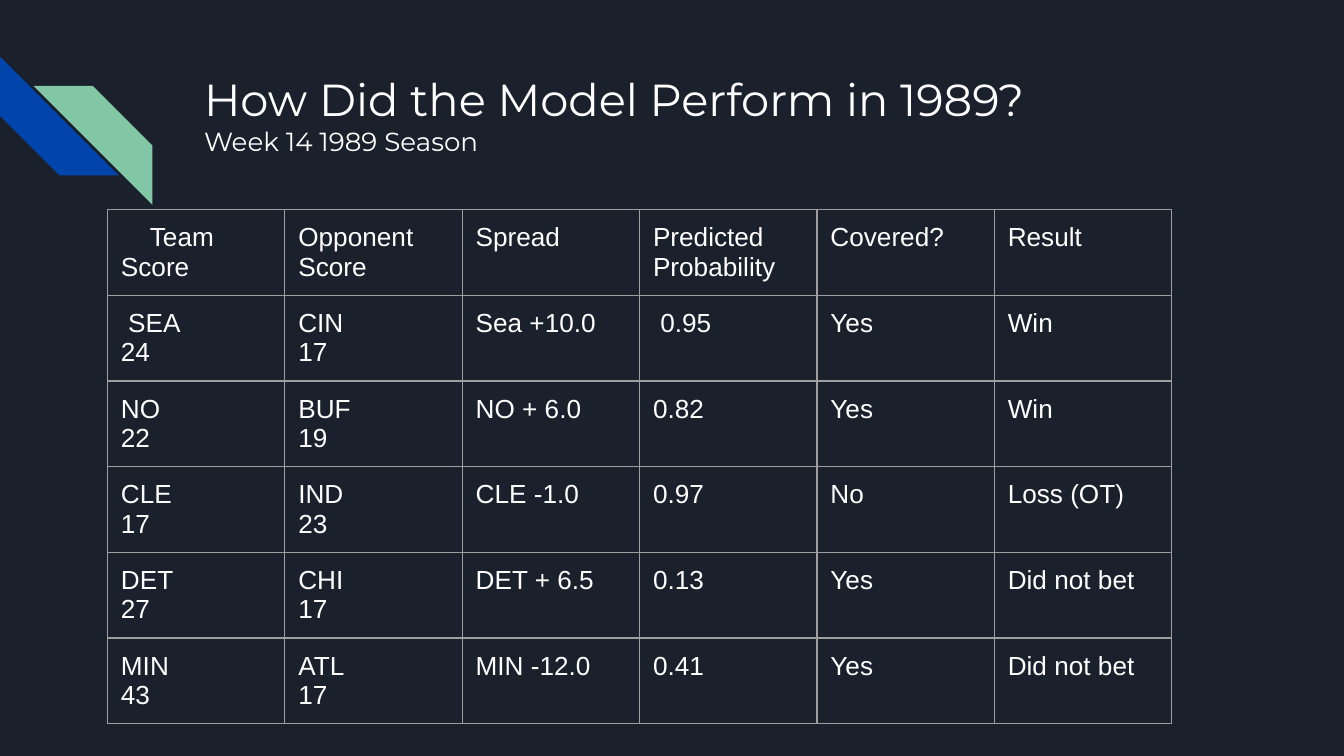
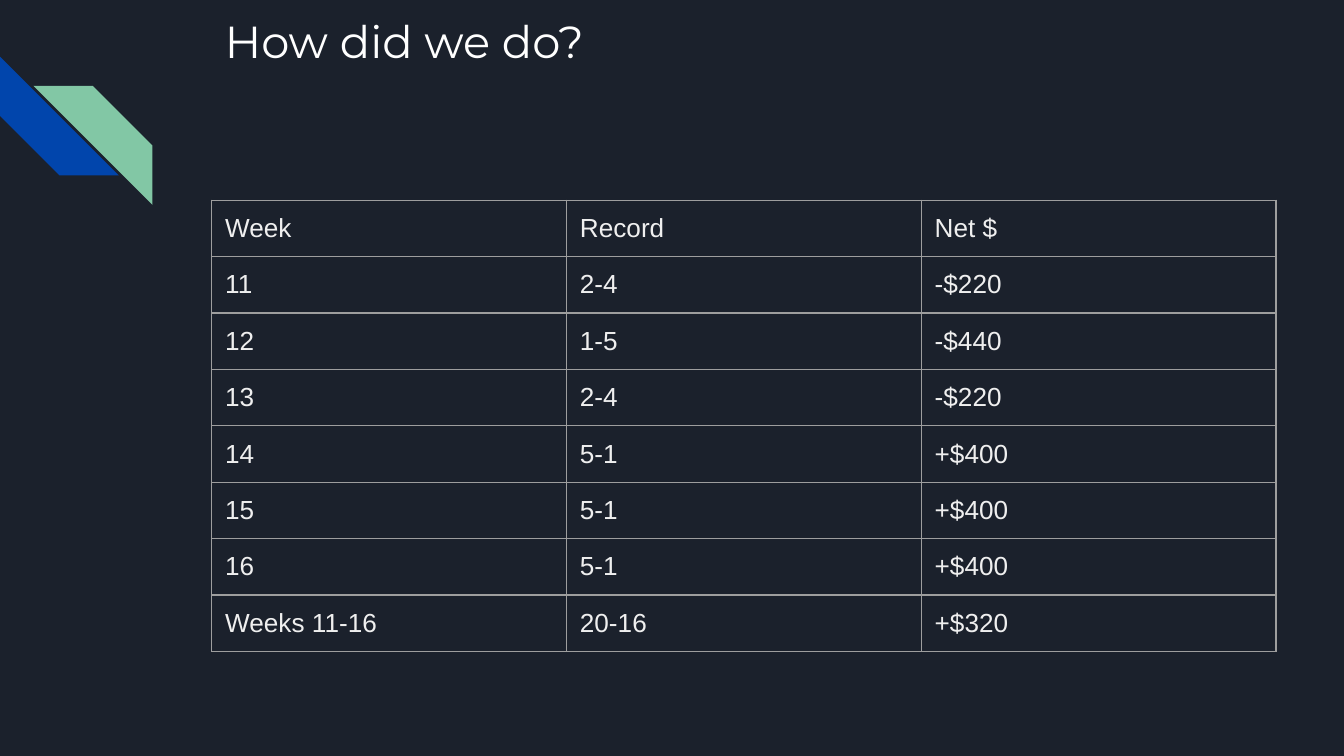
import copy
from dataclasses import dataclass

import lxml.etree
import pptx
import pptx.dml.color
import pptx.enum.shapes
import pptx.enum.text
import pptx.oxml.ns
import pptx.slide
import pptx.text.text
import pptx.util

PX = 4572
NO_STYLE = "{2D5ABB26-0587-4C30-8999-92F81FD0307C}"
qn = pptx.oxml.ns.qn


@dataclass(frozen=True)
class Theme:
    background: str = "1B212C"
    blue: str = "0145AC"
    green: str = "82C7A5"
    white: str = "FFFFFF"
    off_white: str = "EFEFEF"
    border: str = "9E9E9E"
    title_font: str = "Montserrat"
    body_font: str = "Arial"
    title_size: int = 24
    body_size: int = 14
    border_width: float = 0.75
    inset: int = 20


@dataclass(frozen=True)
class Stripe:
    left: int
    top: int
    color: str
    rotation: int = 0
    flipped: bool = False
    side: int = 177


@dataclass(frozen=True)
class Title:
    left: int
    top: int
    text: str
    width: int = 1540
    height: int = 200


@dataclass(frozen=True)
class Grid:
    left: int
    top: int
    col_width: int
    color: str
    rows: list[tuple[str, ...]]
    header_height: int = 84
    row_height: int = 84
    first_indent: int = 0


T = Theme()
STRIPES = [
    Stripe(0, 84, T.blue, rotation=270),
    Stripe(50, 128, T.green, flipped=True),
]
GAMES = Grid(160, 312, 264, T.white, [
    ("Team Score", "Opponent\nScore", "Spread", "Predicted Probability", "Covered?", "Result"),
    (" SEA\v24", "CIN\n17", "Sea +10.0", " 0.95", "Yes", "Win"),
    ("NO\v22", "BUF\v19", "NO + 6.0", "0.82", "Yes", "Win"),
    ("CLE\v17", "IND\v23", "CLE -1.0", "0.97", "No", "Loss (OT)"),
    ("DET\v27", "CHI\v17", "DET + 6.5", "0.13", "Yes", "Did not bet"),
    ("MIN\v43", "ATL\v17", "MIN -12.0", "0.41", "Yes", "Did not bet"),
], header_height=98, first_indent=43)
WEEKS = Grid(315, 298, 528, T.off_white, [
    ("Week", "Record", "Net $"),
    ("11", "2-4", "-$220"),
    ("12", "1-5", "-$440"),
    ("13", "2-4", "-$220"),
    ("14", "5-1", "+$400"),
    ("15", "5-1", "+$400"),
    ("16", "5-1", "+$400"),
    ("Weeks 11-16", "20-16", "+$320"),
])
SLIDES = [
    (Title(284, 87, "How Did the Model Perform in 1989?\vWeek 14 1989 Season"), GAMES),
    (Title(315, 0, "How did we do?"), WEEKS),
]


def px(n: int) -> pptx.util.Emu:
    return pptx.util.Emu(n * PX)


def rgb(color: str) -> pptx.dml.color.RGBColor:
    return pptx.dml.color.RGBColor.from_string(color)


def write(tf: pptx.text.text.TextFrame, text: str, font: str, color: str, sizes: list[int]) -> None:
    tf.text = text
    tf.auto_size = pptx.enum.text.MSO_AUTO_SIZE.NONE
    spacing = {"line_spacing": 1.0, "space_before": pptx.util.Pt(0), "space_after": pptx.util.Pt(0)}
    for p in tf.paragraphs:
        for name, value in spacing.items():
            setattr(p, name, value)
        for r, size in zip(p.runs, sizes):
            for name, value in {"name": font, "size": pptx.util.Pt(size)}.items():
                setattr(r.font, name, value)
            r.font.color.rgb = rgb(color)
            for tag in ("a:ea", "a:cs"):
                lxml.etree.SubElement(r.font._element, qn(tag), typeface=font)
        for br in p._p.findall(qn("a:br")):
            br.insert(0, copy.deepcopy(br.getprevious().find(qn("a:rPr"))))
        rPr = p.runs[-1].font._element
        end = lxml.etree.SubElement(p._p, qn("a:endParaRPr"), sz=rPr.get("sz"))
        end.extend(copy.deepcopy(child) for child in rPr)


def set_margins(target: object) -> None:
    for side in ("left", "top", "right", "bottom"):
        setattr(target, f"margin_{side}", px(T.inset))


def add_stripe(s: pptx.slide.Slide, stripe: Stripe) -> None:
    sp = s.shapes.add_shape(pptx.enum.shapes.MSO_SHAPE.DIAGONAL_STRIPE,
                            px(stripe.left), px(stripe.top), px(stripe.side), px(stripe.side))
    sp.shadow.inherit = False
    sp.fill.solid()
    sp.fill.fore_color.rgb = rgb(stripe.color)
    sp.line.fill.background()
    sp.rotation = stripe.rotation
    if stripe.flipped:
        sp._element.spPr.xfrm.set("flipH", "1")


def add_title(s: pptx.slide.Slide, title: Title) -> None:
    sp = s.shapes.add_textbox(px(title.left), px(title.top), px(title.width), px(title.height))
    tf = sp.text_frame
    tf.word_wrap = True
    set_margins(tf)
    write(tf, title.text, T.title_font, T.white, [T.title_size, T.body_size])


def add_borders(tc: lxml.etree._Element) -> None:
    tcPr = tc.get_or_add_tcPr()
    for i, tag in enumerate(("a:lnL", "a:lnR", "a:lnT", "a:lnB")):
        ln = lxml.etree.Element(qn(tag), w=str(pptx.util.Pt(T.border_width)))
        fill = lxml.etree.SubElement(ln, qn("a:solidFill"))
        lxml.etree.SubElement(fill, qn("a:srgbClr"), val=T.border)
        tcPr.insert(i, ln)


def add_grid(s: pptx.slide.Slide, grid: Grid) -> None:
    n_rows, n_cols = len(grid.rows), len(grid.rows[0])
    table = s.shapes.add_table(n_rows, n_cols, px(grid.left), px(grid.top),
                               px(n_cols * grid.col_width), px(n_rows * grid.row_height)).table
    table.first_row = table.horz_banding = False
    table._tbl.tblPr.find(qn("a:tableStyleId")).text = NO_STYLE
    table.rows[0].height = px(grid.header_height)
    for i, row in enumerate(grid.rows):
        for j, text in enumerate(row):
            cell = table.cell(i, j)
            cell.fill.background()
            set_margins(cell)
            write(cell.text_frame, text, T.body_font, grid.color, [T.body_size] * 2)
            add_borders(cell._tc)
    if grid.first_indent:
        pPr = table.cell(0, 0).text_frame.paragraphs[0]._p.get_or_add_pPr()
        pPr.set("marL", "0")
        pPr.set("indent", str(px(grid.first_indent)))


def main() -> None:
    prs = pptx.Presentation()
    prs.slide_width, prs.slide_height = px(2000), px(1125)
    fill = prs.slide_master.background.fill
    fill.solid()
    fill.fore_color.rgb = rgb(T.background)
    for title, grid in SLIDES:
        s = prs.slides.add_slide(prs.slide_layouts[6])
        for stripe in STRIPES:
            add_stripe(s, stripe)
        add_title(s, title)
        add_grid(s, grid)
    prs.save("out.pptx")


if __name__ == "__main__":
    main()
